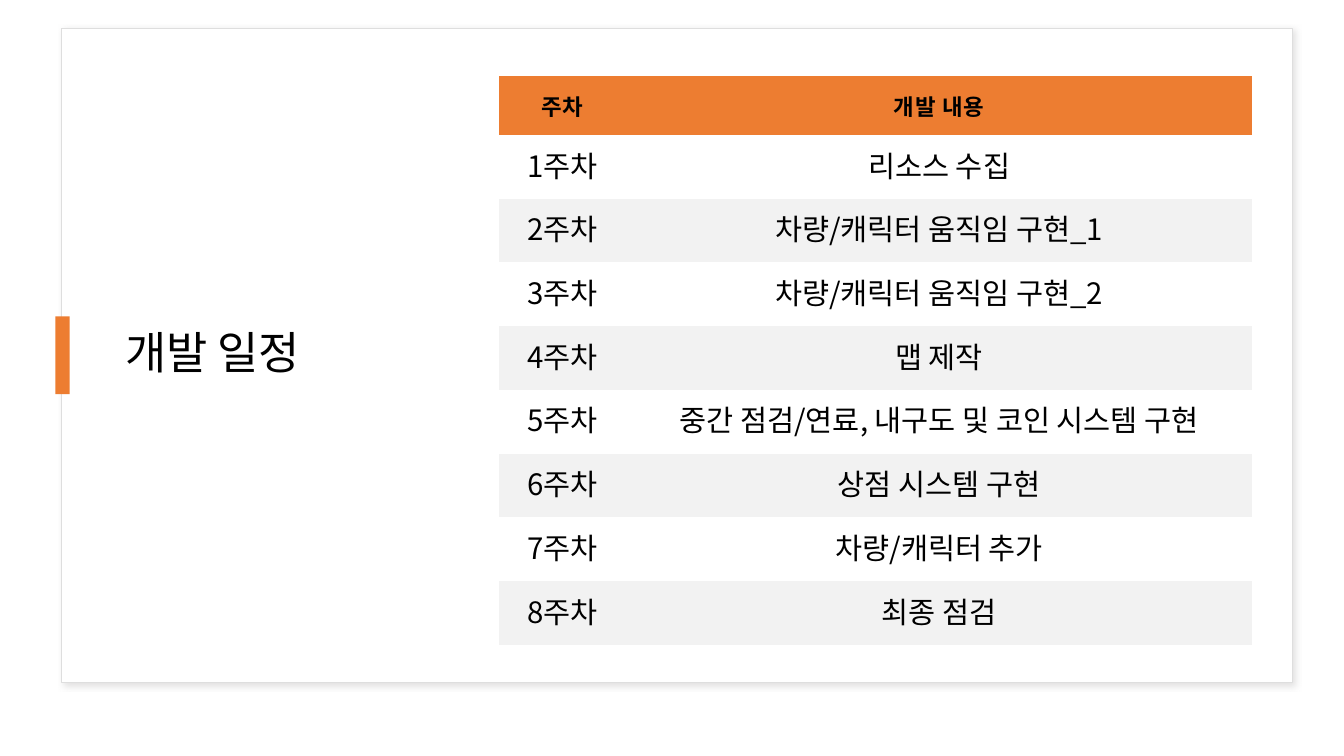
"""Build the development schedule slide."""
from dataclasses import dataclass

from lxml.etree import SubElement
from pptx import Presentation
from pptx.dml.color import RGBColor
from pptx.enum.shapes import MSO_SHAPE
from pptx.enum.text import MSO_ANCHOR, MSO_AUTO_SIZE, PP_ALIGN
from pptx.oxml.ns import qn
from pptx.util import Inches, Pt

TITLE = "개발 일정"
HEAD = ("주차", "개발 내용")
TASKS = [
    "리소스 수집",
    "차량/캐릭터 움직임 구현_1",
    "차량/캐릭터 움직임 구현_2",
    "맵 제작",
    "중간 점검/연료, 내구도 및 코인 시스템 구현",
    "상점 시스템 구현",
    "차량/캐릭터 추가",
    "최종 점검",
]
COLS = (1.26, 6.21)
HEAD_H, ROW_H = 0.59, 0.62
NO_GRID = "{2D5ABB26-0587-4C30-8999-92F81FD0307C}"


@dataclass(frozen=True)
class Theme:
    font: str = "Noto Sans CJK KR"
    ink: str = "000000"
    paper: str = "FFFFFF"
    edge: str = "DEDEDE"
    shade: str = "C5C3C3"
    accent: str = "ED7D31"
    band: str = "F2F2F2"
    title: int = 32
    head: int = 16
    body: int = 21


THEME = Theme()


def paint(fill, color):
    fill.solid()
    fill.fore_color.rgb = RGBColor.from_string(color)


def write(frame, text, size, align, bold=False):
    para = frame.paragraphs[0]
    para.alignment = align
    run = para.add_run()
    run.text = text
    font = run.font
    font.size, font.bold, font.name = Pt(size), bold, THEME.font
    font.color.rgb = RGBColor.from_string(THEME.ink)
    props = run.font._element
    props.find(qn("a:latin")).addnext(
        SubElement(props, qn("a:ea"), typeface=THEME.font))
    return para, props


def add_box(slide, place, color):
    box = slide.shapes.add_shape(
        MSO_SHAPE.RECTANGLE, *(Inches(n) for n in place))
    box.shadow.inherit = False
    paint(box.fill, color)
    box.line.fill.background()
    return box


def add_card(slide):
    card = add_box(slide, (0.61, 0.28, 12.21, 6.49), THEME.paper)
    paint(card.line.fill, THEME.edge)
    card.line.width = Pt(1)
    glow = SubElement(
        card.element.spPr.find(qn("a:effectLst")), qn("a:outerShdw"),
        blurRad=str(Pt(4)), dist=str(Pt(3)), dir=str(45 * 60000),
        algn="tl", rotWithShape="0")
    tint = SubElement(glow, qn("a:srgbClr"), val=THEME.shade)
    SubElement(tint, qn("a:alpha"), val="50000")
    return card


def add_title(slide):
    title = slide.shapes.title
    title.left, title.top = Inches(1.14), Inches(0.55)
    title.width, title.height = Inches(3.27), Inches(5.95)
    frame = title.text_frame
    frame.auto_size = MSO_AUTO_SIZE.NONE
    frame.vertical_anchor = MSO_ANCHOR.MIDDLE
    para, _ = write(frame, TITLE, THEME.title, PP_ALIGN.LEFT)
    para.line_spacing = 0.9
    return title


def fill_cell(cell, text, row):
    head = row == 0
    cell.margin_left = cell.margin_right = Inches(0.16)
    cell.margin_top = Inches(0.13 if head else 0.08)
    cell.margin_bottom = Inches(0.13)
    cell.vertical_anchor = MSO_ANCHOR.BOTTOM if head else MSO_ANCHOR.TOP
    if head:
        paint(cell.fill, THEME.accent)
    elif row % 2 == 0:
        paint(cell.fill, THEME.band)
    else:
        cell.fill.background()
    size = THEME.head if head else THEME.body
    _, props = write(cell.text_frame, text, size, PP_ALIGN.CENTER, head)
    if head:
        props.set("spc", "60")


def add_plan(slide):
    rows = [HEAD] + [(f"{n}주차", task) for n, task in enumerate(TASKS, 1)]
    tall = HEAD_H + ROW_H * len(TASKS)
    plan = slide.shapes.add_table(
        len(rows), len(COLS), Inches(4.95), Inches(0.75),
        Inches(sum(COLS)), Inches(tall))
    plan.element.find(".//" + qn("a:tableStyleId")).text = NO_GRID
    table = plan.table
    table.horz_banding = False
    for col, wide in zip(table.columns, COLS):
        col.width = Inches(wide)
    for r, texts in enumerate(rows):
        table.rows[r].height = Inches(ROW_H if r else HEAD_H)
        for c, text in enumerate(texts):
            fill_cell(table.cell(r, c), text, r)


def main():
    deck = Presentation()
    deck.slide_width, deck.slide_height = Inches(13.33), Inches(7.5)
    slide = deck.slides.add_slide(deck.slide_layouts[5])
    title = add_title(slide)
    card = add_card(slide)
    title.element.addprevious(card.element)
    add_box(slide, (0.55, 3.14, 0.14, 0.77), THEME.accent)
    add_plan(slide)
    deck.save("out.pptx")


if __name__ == "__main__":
    main()
